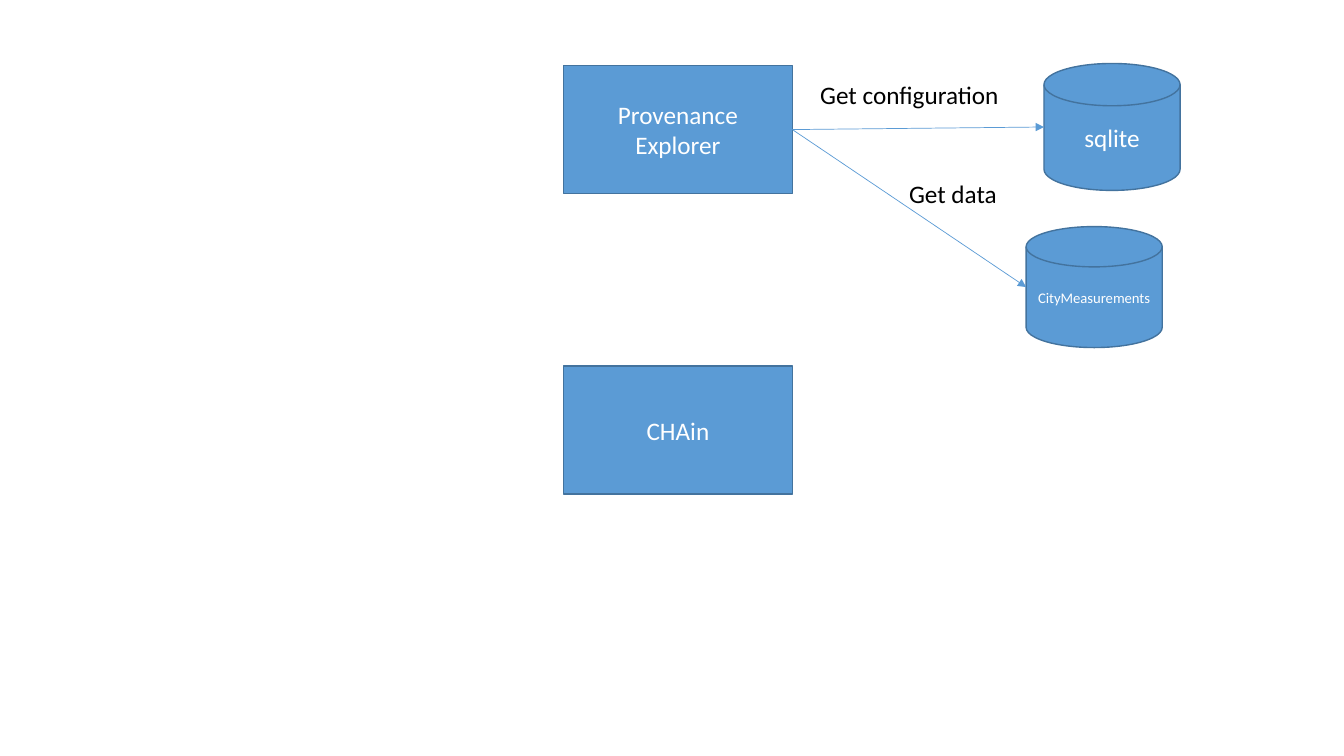
from dataclasses import dataclass

from lxml import etree
from pptx import Presentation
from pptx.dml.color import RGBColor
from pptx.enum.shapes import MSO_CONNECTOR, MSO_SHAPE
from pptx.enum.text import MSO_ANCHOR, MSO_AUTO_SIZE, PP_ALIGN
from pptx.oxml.ns import qn
from pptx.util import Cm, Pt

RECTANGLE = MSO_SHAPE.RECTANGLE
DISK = MSO_SHAPE.FLOWCHART_MAGNETIC_DISK
STRAIGHT = MSO_CONNECTOR.STRAIGHT
LEFT, CENTER = PP_ALIGN.LEFT, PP_ALIGN.CENTER
MIDDLE = MSO_ANCHOR.MIDDLE
FIT_TEXT = MSO_AUTO_SIZE.SHAPE_TO_FIT_TEXT
RIGHT_SITE = 3


@dataclass(frozen=True)
class Theme:
    fill: RGBColor = RGBColor(0x5B, 0x9B, 0xD5)
    outline: RGBColor = RGBColor(0x43, 0x73, 0x9E)
    on_fill: RGBColor = RGBColor(0xFF, 0xFF, 0xFF)
    text: RGBColor = RGBColor(0, 0, 0)
    font: str = "Calibri"
    normal: float = 18
    small: float = 10.5


THEME = Theme()


def write(frame, text, size=THEME.normal, color=THEME.text, align=LEFT):
    paragraph = frame.paragraphs[0]
    paragraph.alignment = align
    run = paragraph.add_run()
    run.text = text
    run.font.name = THEME.font
    run.font.size = Pt(size)
    run.font.color.rgb = color


def add_node(slide, kind, box, text, size=THEME.normal):
    node = slide.shapes.add_shape(kind, *map(Cm, box))
    node.shadow.inherit = False
    node.fill.solid()
    node.fill.fore_color.rgb = THEME.fill
    node.line.color.rgb = THEME.outline
    node.line.width = Pt(1)
    node.text_frame.word_wrap = True
    node.text_frame.vertical_anchor = MIDDLE
    write(node.text_frame, text, size=size, color=THEME.on_fill, align=CENTER)
    return node


def add_label(slide, box, text):
    frame = slide.shapes.add_textbox(*map(Cm, box)).text_frame
    frame.word_wrap = False
    frame.auto_size = FIT_TEXT
    write(frame, text)


def add_arrow(slide, client, store):
    """Point from the client's right side to the store's left side."""
    arrow = slide.shapes.add_connector(
        STRAIGHT, client.left + client.width, client.top + client.height // 2,
        store.left, store.top + store.height // 2)
    arrow.begin_connect(client, RIGHT_SITE)
    arrow.line.color.rgb = THEME.fill
    arrow.line.width = Pt(0.5)
    etree.SubElement(arrow.line._get_or_add_ln(), qn("a:tailEnd"), type="triangle")
    etree.SubElement(arrow._element.spPr, qn("a:effectLst"))


def add_architecture(slide, left, top):
    """Place the applications at the left and their data stores at the right."""
    width, height = 5.77, 3.23
    disk_width = 3.43
    sqlite = add_node(slide, DISK, (left + 12.11, top - 0.05, disk_width, 3.2), "sqlite")
    measurements = add_node(slide, DISK, (left + 11.66, top + 4.06, disk_width, 3.05),
                            "CityMeasurements", size=THEME.small)
    explorer = add_node(slide, RECTANGLE, (left, top, width, height), "Provenance Explorer")
    add_node(slide, RECTANGLE, (left, top + 7.57, width, height), "CHAin")
    for store in (sqlite, measurements):
        add_arrow(slide, explorer, store)
    add_label(slide, (left + 6.22, top + 0.23, 5.08, 1.02), "Get configuration")
    add_label(slide, (left + 8.46, top + 2.72, 2.74, 1.02), "Get data")


def main():
    deck = Presentation()
    deck.slide_width, deck.slide_height = Cm(33.87), Cm(19.05)
    blank_layout = deck.slide_layouts[6]
    add_architecture(deck.slides.add_slide(blank_layout), left=14.2, top=1.65)
    deck.save("out.pptx")


if __name__ == "__main__":
    main()
